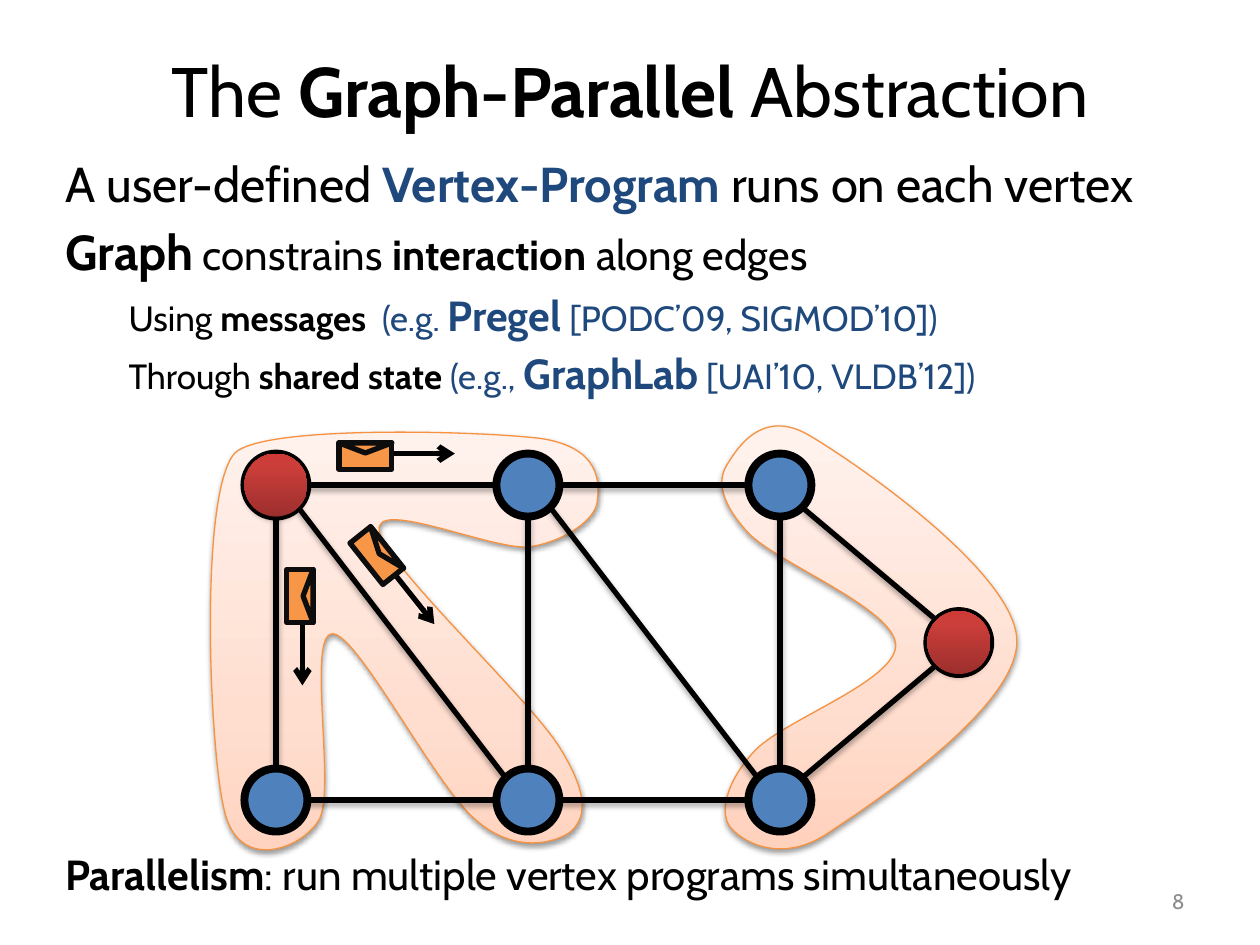
from math import cos, hypot, radians, sin
from typing import NamedTuple

from lxml import etree
from pptx import Presentation
from pptx import util as u
from pptx.dml.color import RGBColor
from pptx.enum import shapes, text
from pptx.oxml import parse_xml
from pptx.oxml.ns import nsdecls, qn

FONT = "Cabin"
BLACK, NAVY, GREY = "000000", "1F497D", "8C8C8C"
BLUE, ORANGE, INK, RIM = "4F81BD", "F79646", "0D0D0D", "F69240"
RED_STOPS = [(0, "9C2F2D"), (80, "CB3E3A"), (100, "CE3B37")]
PEACH_STOPS = [(0, "FFD2BD"), (35, "FFDED0"), (100, "FFF2ED")]
DIAMETER = 0.5
LETTER_WIDTH, LETTER_HEIGHT, FLAP_HEIGHT = 0.42, 0.21, 0.08

Point = tuple[float, float]


class Span(NamedTuple):
    text: str
    size: float
    bold: bool = False
    color: str = BLACK


class Line(NamedTuple):
    spans: list[Span]
    level: int = 0
    before: float | None = None


class Edge(NamedTuple):
    start: str
    end: str
    leave: tuple[int, int]  # direction in which the edge leaves its start


class Letter(NamedTuple):
    x: float
    y: float
    angle: float


class Scope(NamedTuple):
    bounds: tuple[float, float, float, float]
    points: list[Point]  # a start, then two handles and an end for each curve


# Vertices sit on a grid of 2 by 2.5 inch cells, given as (column, row)
VERTICES = {"a": (0, 0), "b": (1, 0), "c": (2, 0), "d": (2.71, 0.5),
            "e": (0, 1), "f": (1, 1), "g": (2, 1)}
RED_VERTICES = "da"
RIGHT, DOWN, DOWN_RIGHT, UP_RIGHT = (1, 0), (0, 1), (1, 1), (1, -1)
EDGES = [Edge("a", "b", RIGHT), Edge("b", "c", RIGHT), Edge("e", "f", RIGHT),
         Edge("f", "g", RIGHT), Edge("a", "e", DOWN), Edge("b", "f", DOWN),
         Edge("c", "g", DOWN), Edge("a", "f", DOWN_RIGHT), Edge("b", "g", DOWN_RIGHT),
         Edge("c", "d", DOWN_RIGHT), Edge("g", "d", UP_RIGHT)]
LETTERS = [Letter(2.9, 3.62, 0), Letter(2.99, 4.41, 51.5), Letter(2.38, 4.73, 90)]

SCOPES = [
    Scope((5.73, 3.38, 2.34, 3.35), [
        (8.07, 5.07), (8.04, 4.54), (6.82, 3.69), (6.43, 3.46),
        (6.05, 3.23), (5.85, 3.56), (5.77, 3.69), (5.69, 3.82), (5.72, 3.99), (5.94, 4.23),
        (6.17, 4.47), (7.1, 4.83), (7.11, 5.12), (7.11, 5.41), (6.2, 5.72), (5.98, 5.97),
        (5.76, 6.21), (5.7, 6.47), (5.81, 6.58), (5.91, 6.69), (6.22, 6.86), (6.59, 6.6),
        (6.97, 6.35), (8.1, 5.59), (8.07, 5.07)]),
    Scope((1.58, 3.37, 3.19, 3.55), [
        (1.86, 3.6), (2.07, 3.37), (3.81, 3.42), (4.29, 3.48),
        (4.77, 3.55), (4.76, 3.84), (4.74, 3.98), (4.73, 4.12), (4.48, 4.3), (4.2, 4.34),
        (3.91, 4.37), (2.97, 3.95), (3.01, 4.21), (3.05, 4.48), (4.19, 5.53), (4.44, 5.93),
        (4.69, 6.33), (4.64, 6.5), (4.53, 6.6), (4.41, 6.69), (4.09, 6.78), (3.78, 6.51),
        (3.46, 6.25), (2.84, 5.03), (2.64, 5.03), (2.43, 5.03), (2.67, 6.28), (2.53, 6.51),
        (2.38, 6.75), (1.89, 6.92), (1.78, 6.43), (1.66, 5.94), (1.58, 3.93), (1.86, 3.6)]),
]

TITLE = Line([Span("The ", 40), Span("Graph-Parallel", 40, True), Span(" Abstraction", 40)])
BODY = [
    Line([Span("A user-defined", 28), Span(" Vertex-Program ", 28, True, NAVY),
          Span("runs on each vertex", 28)], before=0),
    Line([Span("Graph", 28, True), Span(" constrains ", 24),
          Span("interaction", 24, True), Span(" along edges", 24)]),
    Line([Span("Using ", 20), Span("messages  ", 20, True), Span("(e.g. ", 20, False, NAVY),
          Span("Pregel", 24, True, NAVY), Span(" [PODC’09, SIGMOD’10])", 20, False, NAVY)], 1),
    Line([Span("Through ", 20), Span("shared state ", 20, True), Span("(e.g., ", 20, False, NAVY),
          Span("GraphLab", 24, True, NAVY), Span(" [UAI’10, VLDB’12])", 20, False, NAVY)], 1),
    Line([Span("Parallelism", 24, True),
          Span(": run multiple vertex programs simultaneously", 24)], before=257),
]


def rgb(value: str) -> RGBColor:
    return RGBColor.from_string(value)


def place(box, left: float, top: float, width: float, height: float) -> None:
    """Set a box by percentages of the slide's size."""
    box.left, box.width = (int(deck.slide_width * share / 100) for share in (left, width))
    box.top, box.height = (int(deck.slide_height * share / 100) for share in (top, height))


def write(para, line: Line) -> None:
    for part in line.spans:
        span = para.add_run()
        span.text = part.text
        span.font.name, span.font.size, span.font.bold = FONT, u.Pt(part.size), part.bold
        span.font.color.rgb = rgb(part.color)
    if line.before is not None:
        para.space_before = u.Pt(line.before)


def outline(part, color: str, width: float) -> None:
    part.line.color.rgb = rgb(color)
    part.line.width = u.Pt(width)


def set_effects(part, alpha: int = 0, distance: float = 0) -> None:
    """Leave the part without a shadow, or give it a soft one falling down."""
    effects = etree.SubElement(part._element.spPr, qn("a:effectLst"))
    if alpha:
        effects.append(parse_xml(
            f'<a:outerShdw {nsdecls("a")} blurRad="{u.Pt(3.15)}" dist="{u.Pt(distance)}" '
            f'dir="5400000" rotWithShape="0"><a:srgbClr val="{BLACK}">'
            f'<a:alpha val="{alpha * 1000}"/></a:srgbClr></a:outerShdw>'))


def fill_solid(shape, color: str) -> None:
    shape.fill.solid()
    shape.fill.fore_color.rgb = rgb(color)


def fill_gradient(shape, stops: list[tuple[int, str]]) -> None:
    shape.fill.solid()
    marks = "".join(f'<a:gs pos="{share * 1000}"><a:srgbClr val="{color}"/></a:gs>'
                    for share, color in stops)
    solid = shape._element.spPr.find(qn("a:solidFill"))
    solid.getparent().replace(solid, parse_xml(
        f'<a:gradFill {nsdecls("a")} rotWithShape="1"><a:gsLst>{marks}</a:gsLst>'
        '<a:lin ang="16200000" scaled="0"/></a:gradFill>'))


def add_centred(kind, x: float, y: float, width: float, height: float):
    return page.shapes.add_shape(kind, u.Inches(x - width / 2), u.Inches(y - height / 2),
                                 u.Inches(width), u.Inches(height))


def add_line(start: Point, end: Point):
    line = page.shapes.add_connector(shapes.MSO_CONNECTOR.STRAIGHT,
                                     *(u.Inches(value) for value in (*start, *end)))
    outline(line, BLACK, 3)
    return line


def centre(name: str) -> Point:
    column, row = VERTICES[name]
    return 2.19 + 2 * column, 3.85 + 2.5 * row


def rim_point(name: str, direction: tuple[int, int], sign: int) -> Point:
    reach = sign * DIAMETER / 2 / hypot(*direction)
    x, y = centre(name)
    return x + reach * direction[0], y + reach * direction[1]


def draw_scope(scope: Scope) -> None:
    corners = [(u.Inches(x), u.Inches(y)) for x, y in scope.points]
    builder = page.shapes.build_freeform(*corners[0])
    builder.add_line_segments(corners[3::3], close=True)
    shape = builder.convert_to_shape()
    shape.left, shape.top, shape.width, shape.height = map(u.Inches, scope.bounds)
    # Turn the straight sides into curves
    marks = [f'<a:pt x="{x - shape.left}" y="{y - shape.top}"/>' for x, y in corners]
    curves = "".join(f'<a:cubicBezTo>{"".join(marks[first:first + 3])}</a:cubicBezTo>'
                     for first in range(1, len(marks), 3))
    sides = shape._element.spPr.find(".//" + qn("a:pathLst"))
    sides[:] = [parse_xml(
        f'<a:path {nsdecls("a")} w="{shape.width}" h="{shape.height}">'
        f'<a:moveTo>{marks[0]}</a:moveTo>{curves}<a:close/></a:path>')]
    fill_gradient(shape, PEACH_STOPS)
    outline(shape, RIM, 0.75)
    set_effects(shape, 38, 1.6)


def draw_letter(letter: Letter) -> None:
    along = cos(radians(letter.angle)), sin(radians(letter.angle))

    def local(forward: float, up: float) -> Point:
        return (letter.x + forward * along[0] + up * along[1],
                letter.y + forward * along[1] - up * along[0])

    arrow = add_line(local(LETTER_WIDTH / 2, 0.02), local(LETTER_WIDTH / 2 + 0.5, 0.02))
    etree.SubElement(arrow.line._get_or_add_ln(), qn("a:tailEnd"), type="arrow")
    set_effects(arrow)
    flap_up = (LETTER_HEIGHT - FLAP_HEIGHT) / 2
    for kind, height, up, turn in ((shapes.MSO_SHAPE.RECTANGLE, LETTER_HEIGHT, 0, 0),
                                   (shapes.MSO_SHAPE.ISOSCELES_TRIANGLE, FLAP_HEIGHT, flap_up, 180)):
        part = add_centred(kind, *local(0, up), LETTER_WIDTH, height)
        part.rotation = letter.angle + turn
        fill_solid(part, ORANGE)
        outline(part, INK, 3)
        set_effects(part)


deck = Presentation()
deck.slide_width, deck.slide_height = u.Inches(10), u.Inches(7.5)
page = deck.slides.add_slide(deck.slide_layouts[1])
title, body = page.placeholders

# Scopes lie behind everything else
for scope in SCOPES:
    draw_scope(scope)
page.shapes._spTree.extend([title._element, body._element])

# Title and list
place(title, 5, 1.12, 90, 16.67)
write(title.text_frame.paragraphs[0], TITLE)
place(body, 4.2, 15.55, 95, 33.33)
body.text_frame.auto_size = text.MSO_AUTO_SIZE.NONE
for index, line in enumerate(BODY):
    para = body.text_frame.add_paragraph() if index else body.text_frame.paragraphs[0]
    para.level = line.level
    properties = para._p.get_or_add_pPr()
    properties.set("marL", str(u.Inches(0.5 * line.level)))
    properties.set("indent", "0")
    etree.SubElement(properties, qn("a:buNone"))
    write(para, line)

# Graph
for edge in EDGES:
    set_effects(add_line(rim_point(edge.start, edge.leave, 1),
                         rim_point(edge.end, edge.leave, -1)), 35, 1.8)
for name in VERTICES:
    vertex = add_centred(shapes.MSO_SHAPE.OVAL, *centre(name), DIAMETER, DIAMETER)
    fill_solid(vertex, BLUE)
    outline(vertex, BLACK, 4.5)
    set_effects(vertex)
for letter in LETTERS:
    draw_letter(letter)
for name in RED_VERTICES:
    vertex = add_centred(shapes.MSO_SHAPE.OVAL, *centre(name), DIAMETER, DIAMETER)
    fill_gradient(vertex, RED_STOPS)
    vertex.line.fill.background()
    set_effects(vertex, 35, 1.8)

# Page number
number = page.shapes.add_textbox(0, 0, 0, 0)
place(number, 71.7, 92.67, 23.3, 5.33)
number.text_frame.word_wrap = True
number.text_frame.vertical_anchor = text.MSO_ANCHOR.MIDDLE
number.text_frame.paragraphs[0].alignment = text.PP_ALIGN.RIGHT
write(number.text_frame.paragraphs[0], Line([Span("8", 12, False, GREY)]))

deck.save("out.pptx")
